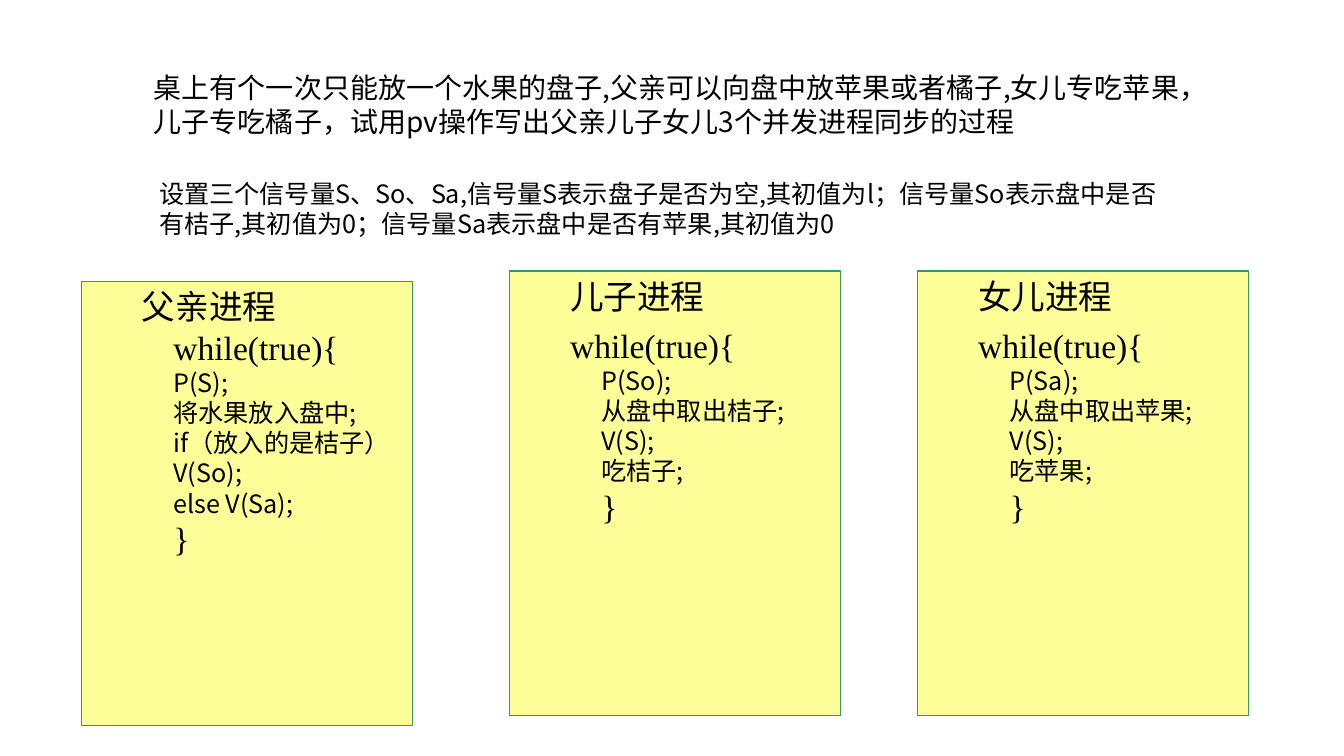
from pptx import Presentation
from pptx import util as u
from pptx.dml.color import RGBColor
from pptx.enum import shapes, text
from pptx.oxml.ns import qn
from lxml import etree

BLACK = RGBColor(0x00, 0x00, 0x00)
YELLOW = RGBColor(0xFF, 0xFF, 0x99)
GREEN = RGBColor(0x33, 0x99, 0x66)


class ProcessSlide:
    """Styles and draws the statements and process boxes on one slide."""

    SANS = "Noto Sans CJK SC"
    SERIF = "Times New Roman"
    LINE_HEIGHT = 1.2

    def __init__(self, presentation):
        self.slide = presentation.slides.add_slide(presentation.slide_layouts[6])

    def style(self, paragraph, font_name, size):
        paragraph.alignment = text.PP_ALIGN.LEFT
        paragraph.line_spacing = u.Pt(size * self.LINE_HEIGHT)
        for run in paragraph.runs:
            run.font.name = font_name
            run.font.size = u.Pt(size)
            run.font.color.rgb = BLACK
            east_asian = etree.SubElement(run.font._element, qn("a:ea"))
            east_asian.set("typeface", self.SANS)

    def indent(self, paragraph, first_line):
        properties = paragraph._p.get_or_add_pPr()
        properties.set("marL", str(u.Cm(2.06)))
        properties.set("indent", str(u.Cm(first_line)))

    def statement(self, left, top, width, height, wording, size):
        shape = self.slide.shapes.add_textbox(
            u.Cm(left), u.Cm(top), u.Cm(width), u.Cm(height))
        shape.text_frame.word_wrap = True
        shape.text_frame.text = wording
        self.style(shape.text_frame.paragraphs[0], self.SANS, size)

    def process(self, left, top, headings, steps):
        shape = self.slide.shapes.add_shape(
            shapes.MSO_SHAPE.RECTANGLE, u.Cm(left), u.Cm(top), u.Cm(8.33), u.Cm(11.2))
        shape.shadow.inherit = False
        shape.fill.solid()
        shape.fill.fore_color.rgb = YELLOW
        shape.line.color.rgb = GREEN
        shape.line.width = u.Pt(0.75)
        frame = shape.text_frame
        frame.word_wrap = True
        frame.vertical_anchor = text.MSO_ANCHOR.TOP
        frame.text = "\n".join([*headings, *steps, "}"])
        last = len(frame.paragraphs) - 1
        for index, paragraph in enumerate(frame.paragraphs):
            is_heading = index < len(headings)
            self.indent(paragraph, -0.79 if is_heading else 0)
            if is_heading and index > 0:
                paragraph.space_before = u.Pt(6)
            if is_heading or index == last:
                self.style(paragraph, self.SERIF, 24)
            else:
                self.style(paragraph, self.SANS, 18)


def main():
    presentation = Presentation()
    presentation.slide_width = u.Cm(33.88)
    presentation.slide_height = u.Cm(19.05)
    page = ProcessSlide(presentation)
    page.statement(
        3.63, 1.65, 26.77, 1.96,
        "桌上有个一次只能放一个水果的盘子,父亲可以向盘中放苹果或者橘子,女儿专吃苹果，"
        "儿子专吃橘子，试用pv操作写出父亲儿子女儿3个并发进程同步的过程", 20)
    page.statement(
        3.76, 4.37, 25.96, 1.78,
        "设置三个信号量S、So、Sa,信号量S表示盘子是否为空,其初值为l；信号量So表示盘中是否有桔子,"
        "其初值为0；信号量Sa表示盘中是否有苹果,其初值为0", 18)
    page.process(2.06, 7.09, ["父亲进程while(true){"],
                 ["P(S);", "将水果放入盘中;", "if（放入的是桔子）V(So);", "else V(Sa);"])
    for left, child, semaphore, fruit in [(12.85, "儿子", "So", "桔子"),
                                          (23.14, "女儿", "Sa", "苹果")]:
        page.process(left, 6.83, [f"{child}进程", "while(true){"],
                     [f"P({semaphore});", f"从盘中取出{fruit};", "V(S);", f"吃{fruit};"])
    presentation.save("out.pptx")


if __name__ == "__main__":
    main()
